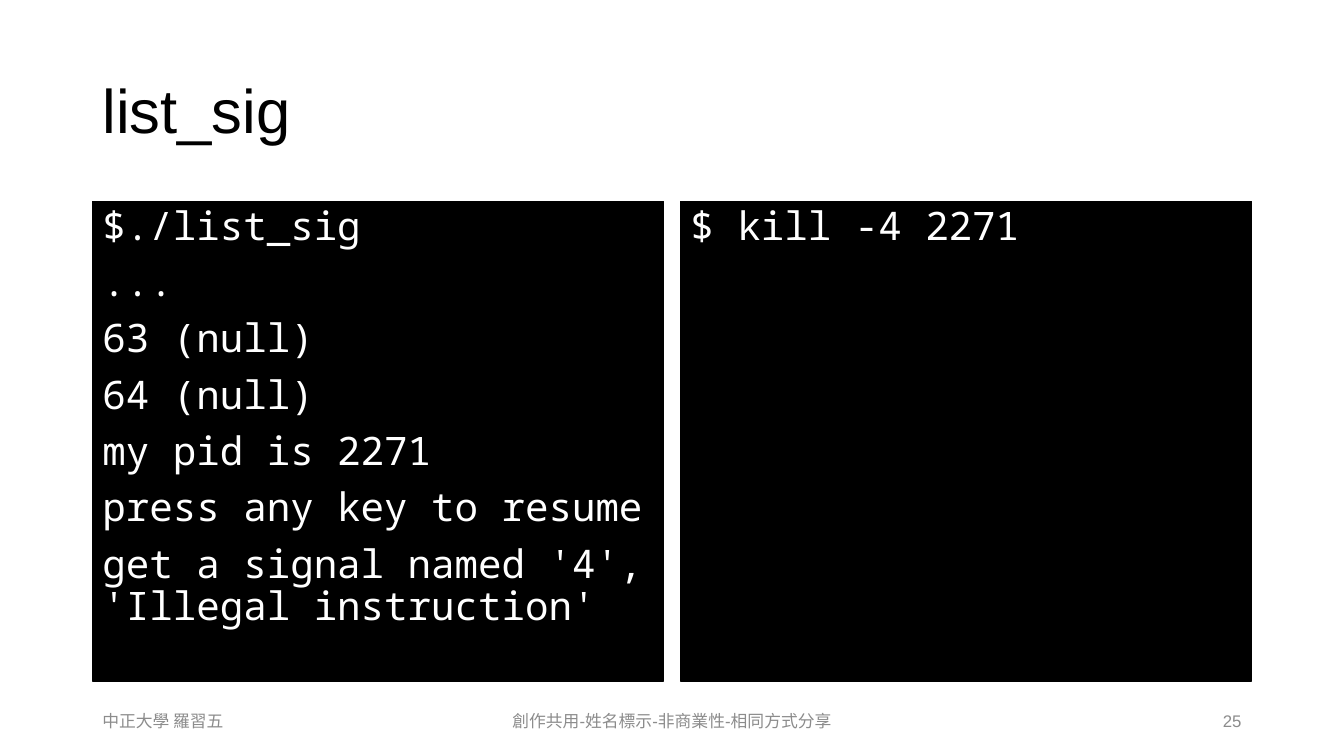
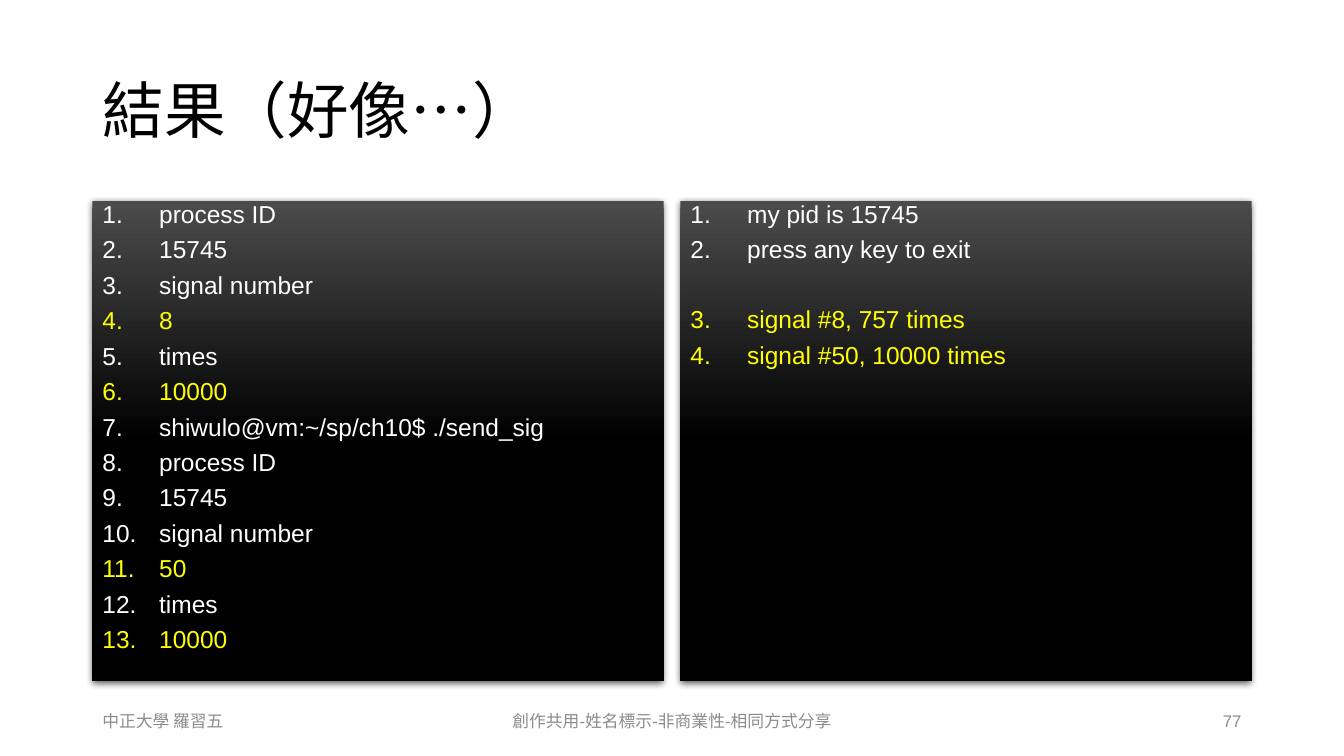
from lxml.etree import SubElement
from pptx import Presentation
from pptx.dml.color import RGBColor
from pptx.enum.text import MSO_ANCHOR, MSO_AUTO_SIZE, PP_ALIGN
from pptx.oxml.ns import qn
from pptx.util import Pt

BLACK = RGBColor(0x00, 0x00, 0x00)
CHARCOAL = RGBColor(0x4B, 0x4B, 0x4B)
WHITE = RGBColor(0xFF, 0xFF, 0xFF)
YELLOW = RGBColor(0xFF, 0xFF, 0x00)
GREY = RGBColor(0x8C, 0x8C, 0x8C)

TEXT_FONT, CODE_FONT = "Arial", "Noto Sans Mono"
LEFT, CONTENT_WIDTH = 66, 828
PANEL_WIDTH, PANEL_GAP = 408, 12
FOOTER_GAP = 36
NUMBER_INDENT = Pt(40.5)
SKIPPED_LINE = 24.7

# Each panel line: text, colour, extra space above in points
PAGES = [
    {"title": "list_sig", "number": "25", "numbered": False,
     "font": CODE_FONT, "size": 28, "spacing": 0.9,
     "panels": [
         [(line, WHITE, 0) for line in (
             "$./list_sig", "...", "63 (null)", "64 (null)", "my pid is 2271",
             "press any key to resume",
             "get a signal named '4', 'Illegal instruction'")],
         [("$ kill -4 2271", WHITE, 0)],
     ]},
    {"title": "結果（好像…）", "number": "77", "numbered": True,
     "font": TEXT_FONT, "size": 17.5, "spacing": 0.73,
     "panels": [
         [("process ID", WHITE, 0), ("15745", WHITE, 0),
          ("signal number", WHITE, 0), ("8", YELLOW, 0),
          ("times", WHITE, 0), ("10000", YELLOW, 0),
          ("shiwulo@vm:~/sp/ch10$ ./send_sig", WHITE, 0),
          ("process ID", WHITE, 0), ("15745", WHITE, 0),
          ("signal number", WHITE, 0), ("50", YELLOW, 0),
          ("times", WHITE, 0), ("10000", YELLOW, 0)],
         [("my pid is 15745", WHITE, 0), ("press any key to exit", WHITE, 0),
          ("signal #8, 757 times", YELLOW, SKIPPED_LINE),
          ("signal #50, 10000 times", YELLOW, 0)],
     ]},
]


def add_run(paragraph, text, font, size, color):
    run = paragraph.add_run()
    run.text = text
    run.font.name = font
    run.font.size = Pt(size)
    run.font.color.rgb = color


def place(shape, left, top, width, height, anchor):
    """Position a shape and give its text frame a fixed size and anchor."""
    shape.left, shape.top = Pt(left), Pt(top)
    shape.width, shape.height = Pt(width), Pt(height)
    frame = shape.text_frame
    frame.word_wrap = True
    frame.auto_size = MSO_AUTO_SIZE.NONE
    frame.vertical_anchor = anchor
    return frame


prs = Presentation()
prs.slide_width, prs.slide_height = Pt(960), Pt(540)
two_content = prs.slide_layouts.get_by_name("Two Content")

for page in PAGES:
    slide = prs.slides.add_slide(two_content)

    heading = place(slide.shapes.title, LEFT, 28.75, CONTENT_WIDTH, 104.4,
                    MSO_ANCHOR.MIDDLE).paragraphs[0]
    heading.alignment = PP_ALIGN.LEFT
    heading.line_spacing = 0.9
    add_run(heading, page["title"], TEXT_FONT, 44, BLACK)

    for column, lines in enumerate(page["panels"]):
        panel = slide.placeholders[column + 1]
        frame = place(panel, LEFT + column * (PANEL_WIDTH + PANEL_GAP), 143.75,
                      PANEL_WIDTH, 342.6, MSO_ANCHOR.TOP)
        if page["numbered"]:
            panel.fill.gradient()
            panel.fill.gradient_angle = 270
            top_stop, middle_stop = panel.fill.gradient_stops
            top_stop.color.rgb, top_stop.position = CHARCOAL, 0
            middle_stop.color.rgb, middle_stop.position = BLACK, 0.5
            panel.line.fill.background()
            effects = SubElement(panel._element.spPr, qn("a:effectLst"))
            shadow = SubElement(effects, qn("a:outerShdw"), blurRad=str(Pt(4.5)),
                                dist=str(Pt(1.5)), dir="5400000", rotWithShape="0")
            tint = SubElement(shadow, qn("a:srgbClr"), val=str(BLACK))
            SubElement(tint, qn("a:alpha"), val="63000")
        else:
            panel.fill.solid()
            panel.fill.fore_color.rgb = BLACK
            panel.line.color.rgb = BLACK
            panel.line.width = Pt(1)

        for index, (text, color, extra) in enumerate(lines):
            paragraph = frame.add_paragraph() if index else frame.paragraphs[0]
            paragraph.line_spacing = page["spacing"]
            paragraph.space_before = Pt(10 + extra)
            properties = paragraph._p.get_or_add_pPr()
            indent = NUMBER_INDENT if page["numbered"] else 0
            properties.set("marL", str(indent))
            properties.set("indent", str(-indent))
            if page["numbered"]:
                SubElement(properties, qn("a:buFont"), typeface=TEXT_FONT)
                SubElement(properties, qn("a:buAutoNum"), type="arabicPeriod")
            else:
                SubElement(properties, qn("a:buNone"))
            add_run(paragraph, text, page["font"], page["size"], color)

    footer_left = LEFT
    for text, width, alignment in (
            ("中正大學 羅習五", 216, PP_ALIGN.LEFT),
            ("創作共用-姓名標示-非商業性-相同方式分享", 324, PP_ALIGN.CENTER),
            (page["number"], 216, PP_ALIGN.RIGHT)):
        footer = slide.shapes.add_textbox(0, 0, 0, 0)
        paragraph = place(footer, footer_left, 500.5, width, 28.75,
                          MSO_ANCHOR.MIDDLE).paragraphs[0]
        paragraph.alignment = alignment
        add_run(paragraph, text, TEXT_FONT, 12, GREY)
        footer_left += width + FOOTER_GAP

prs.save("out.pptx")
